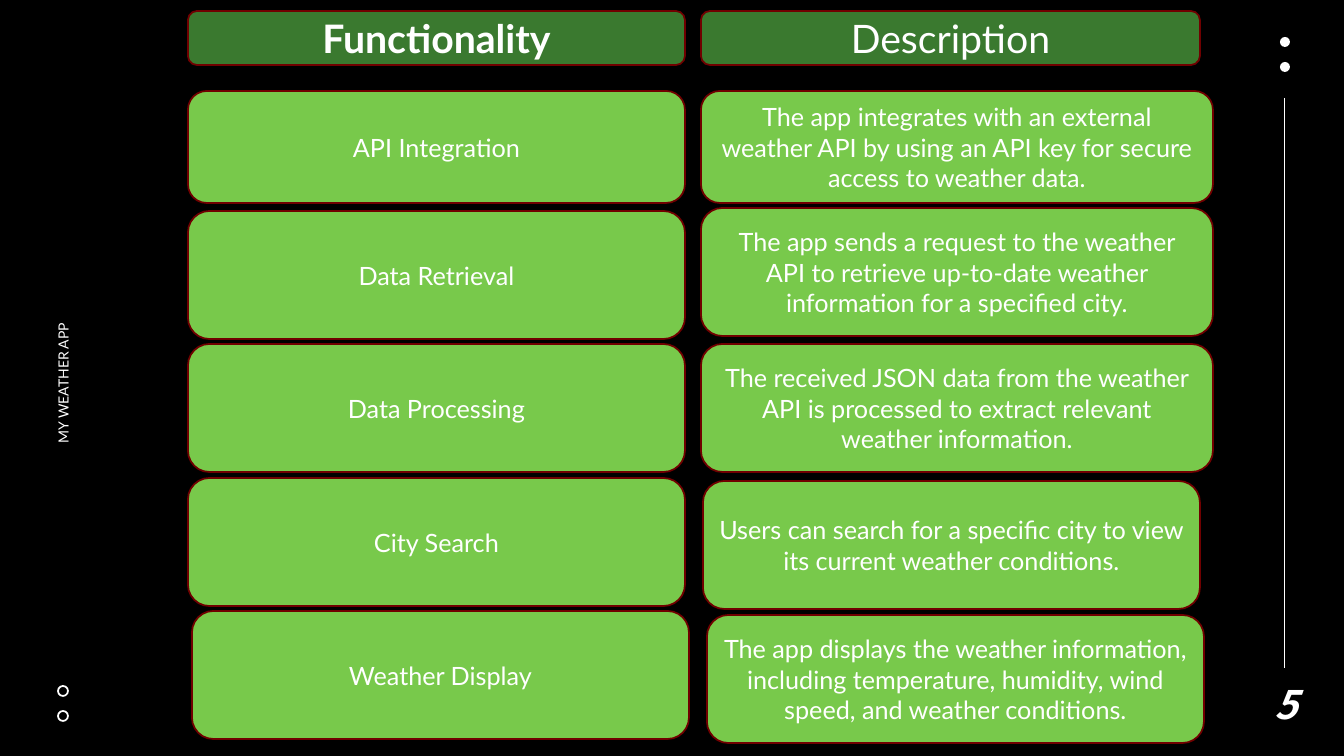
import dataclasses

import pptx
import pptx.dml.color
import pptx.enum.shapes
import pptx.enum.text
import pptx.oxml
import pptx.util

HEADERS = [("Functionality", 188, 497, True), ("Description", 701, 499, False)]
HEADER_TOP, HEADER_HEIGHT = 11, 54

# Each card is text, left, top, width, height.
FEATURES = [
    ("API Integration", 188, 91, 497, 112),
    ("Data Retrieval", 188, 211, 497, 128),
    ("Data Processing", 188, 344, 497, 128),
    ("City Search", 188, 478, 497, 128),
    ("Weather Display", 192, 611, 497, 128),
]
DESCRIPTIONS = [
    ("The app integrates with an external weather API by using an API key "
     "for secure access to weather data.", 701, 91, 512, 112),
    ("The app sends a request to the weather API to retrieve up-to-date "
     "weather information for a specified city.", 701, 208, 512, 128),
    ("The received JSON data from the weather API is processed to extract "
     "relevant weather information.", 701, 344, 512, 128),
    ("Users can search for a specific city to view its current weather "
     "conditions.", 703, 481, 497, 128),
    ("The app displays the weather information, including temperature, "
     "humidity, wind speed, and weather conditions.", 707, 615, 497, 128),
]
SOLID_DOTS = [(1280, 37), (1280, 62)]
RING_DOTS = [(58, 686), (58, 711)]
DOT_SIZE = 10
RULE_X, RULE_TOP, RULE_BOTTOM = 1285, 98, 668
SIDE_TITLE = ("MY WEATHER APP", -222, 365, 570, 36)
PAGE_NUMBER = ("5", 1246, 688, 80, 31)
PAGE_WIDTH, PAGE_HEIGHT = 1344, 756


@dataclasses.dataclass(frozen=True)
class Theme:
    background: str = "000000"
    ink: str = "FFFFFF"
    header: str = "3A792F"
    card: str = "78C94B"
    border: str = "700000"
    font: str = "Lato"
    number_font: str = "Noto Sans CJK JP"
    header_size: int = 28
    card_size: int = 18
    side_size: int = 10
    border_width: float = 1.25
    rule_width: float = 0.75


THEME = Theme()
SHAPE = pptx.enum.shapes.MSO_SHAPE


def px(length):
    return pptx.util.Emu(round(length * 12192000 / PAGE_WIDTH))


def color(code):
    return pptx.dml.color.RGBColor.from_string(code)


def write(shape, text, size, font=THEME.font, bold=False, italic=False):
    frame = shape.text_frame
    frame.word_wrap = True
    frame.vertical_anchor = pptx.enum.text.MSO_ANCHOR.MIDDLE
    para = frame.paragraphs[0]
    para.text = text
    para.alignment = pptx.enum.text.PP_ALIGN.CENTER
    para.font.name = font
    para.font.size = pptx.util.Pt(size)
    para.font.bold = bold
    para.font.italic = italic
    para.font.color.rgb = color(THEME.ink)


def add_box(page, kind, bounds, fill=None, line=None):
    box = page.shapes.add_shape(kind, *map(px, bounds))
    box.shadow.inherit = False
    if fill:
        box.fill.solid()
        box.fill.fore_color.rgb = color(fill)
    else:
        box.fill.background()
    if line:
        box.line.color.rgb = color(line)
        box.line.width = pptx.util.Pt(THEME.border_width)
    else:
        box.line.fill.background()
    return box


def add_label(page, label, size, **style):
    text, *bounds = label
    box = page.shapes.add_textbox(*map(px, bounds))
    write(box, text, size, **style)
    return box


def add_rule(page):
    rule = page.shapes.add_connector(
        pptx.enum.shapes.MSO_CONNECTOR.STRAIGHT,
        px(RULE_X), px(RULE_TOP), px(RULE_X), px(RULE_BOTTOM))
    rule.line.color.rgb = color(THEME.ink)
    rule.line.width = pptx.util.Pt(THEME.rule_width)
    properties = rule._element.spPr
    properties.append(pptx.oxml.parse_xml(
        '<a:effectLst xmlns:a='
        '"http://schemas.openxmlformats.org/drawingml/2006/main"/>'))


def main():
    deck = pptx.Presentation()
    deck.slide_width, deck.slide_height = px(PAGE_WIDTH), px(PAGE_HEIGHT)
    page = deck.slides.add_slide(deck.slide_layouts[6])
    page.background.fill.solid()
    page.background.fill.fore_color.rgb = color(THEME.background)

    for dots, style in ((SOLID_DOTS, {"fill": THEME.ink}),
                        (RING_DOTS, {"line": THEME.ink})):
        for left, top in dots:
            add_box(page, SHAPE.OVAL, (left, top, DOT_SIZE, DOT_SIZE), **style)
    add_rule(page)

    add_label(page, SIDE_TITLE, THEME.side_size).rotation = 270
    add_label(page, PAGE_NUMBER, THEME.header_size,
              font=THEME.number_font, bold=True, italic=True)

    for text, left, width, bold in HEADERS:
        box = add_box(page, SHAPE.ROUNDED_RECTANGLE,
                      (left, HEADER_TOP, width, HEADER_HEIGHT),
                      THEME.header, THEME.border)
        write(box, text, THEME.header_size, bold=bold)
    for text, *bounds in FEATURES + DESCRIPTIONS:
        box = add_box(page, SHAPE.ROUNDED_RECTANGLE, bounds,
                      THEME.card, THEME.border)
        write(box, text, THEME.card_size)

    deck.save("out.pptx")


if __name__ == "__main__":
    main()
